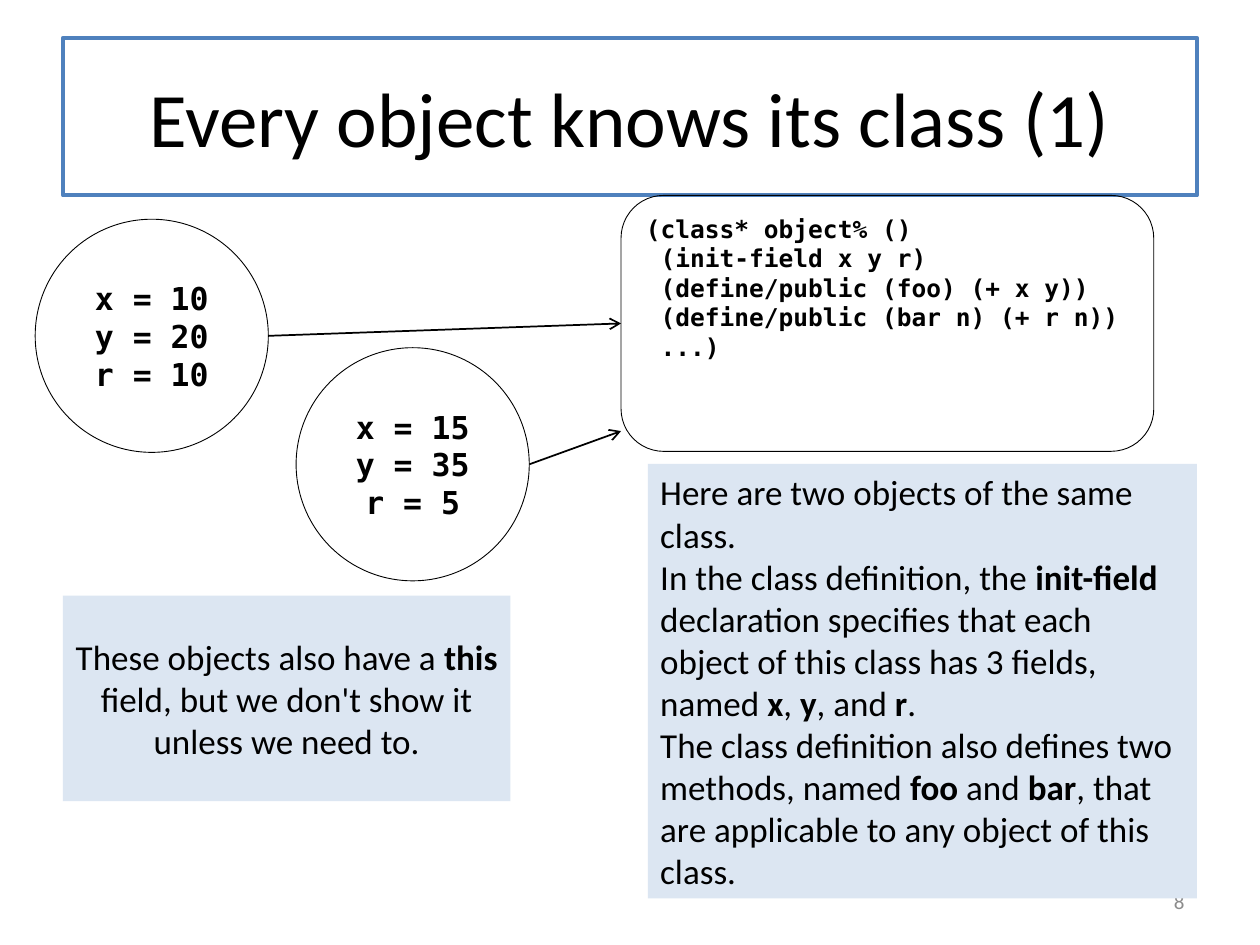
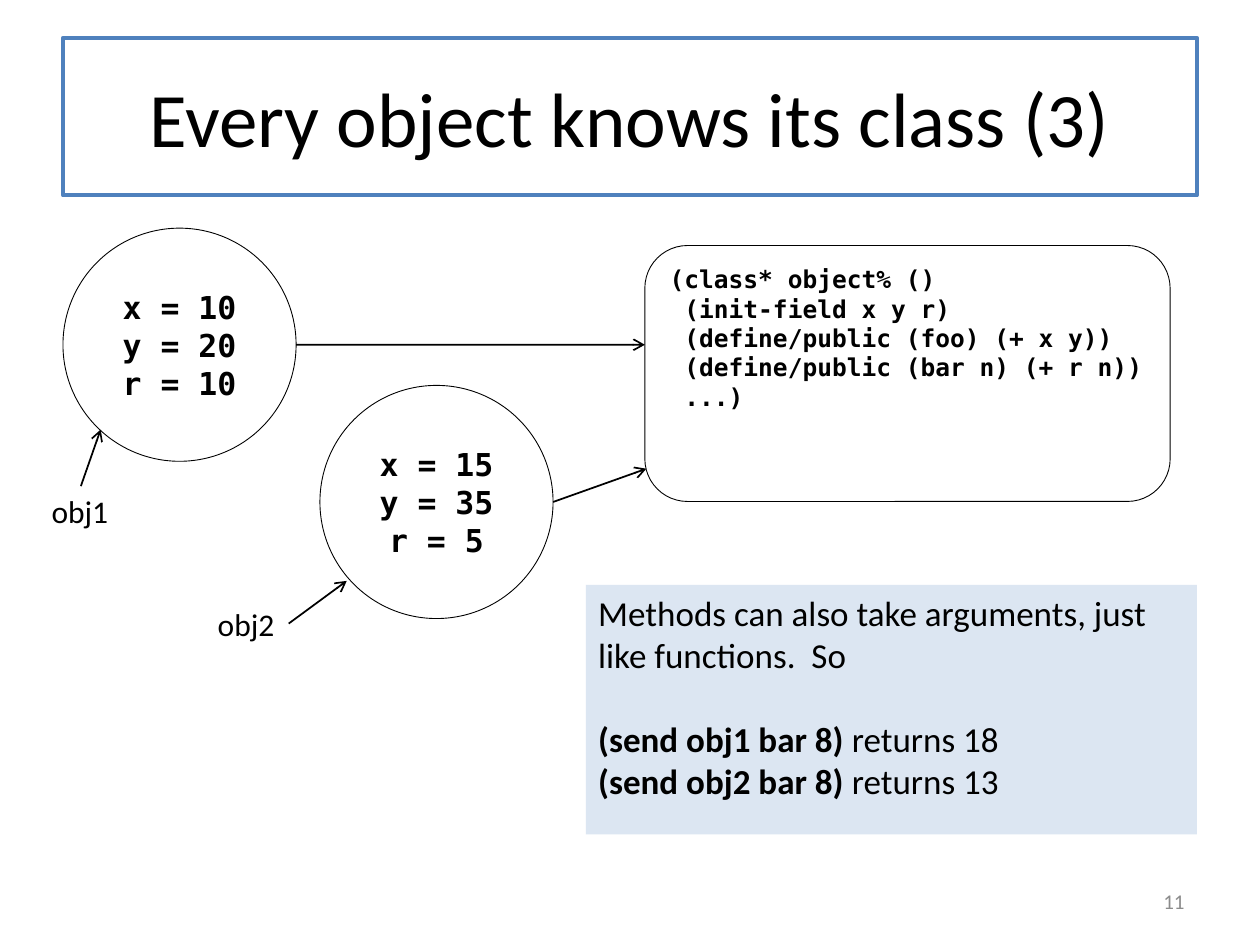
from lxml import etree
from pptx import Presentation
from pptx.dml.color import RGBColor
from pptx.enum.shapes import MSO_CONNECTOR, MSO_SHAPE
from pptx.enum.text import MSO_ANCHOR, MSO_AUTO_SIZE, PP_ALIGN
from pptx.oxml.ns import qn
from pptx.util import Cm, Pt

STRAIGHT = MSO_CONNECTOR.STRAIGHT
OVAL, RECT, ROUNDED = MSO_SHAPE.OVAL, MSO_SHAPE.RECTANGLE, MSO_SHAPE.ROUNDED_RECTANGLE
TOP, MIDDLE = MSO_ANCHOR.TOP, MSO_ANCHOR.MIDDLE
LEFT, CENTER, RIGHT = PP_ALIGN.LEFT, PP_ALIGN.CENTER, PP_ALIGN.RIGHT
NO_FIT = MSO_AUTO_SIZE.NONE
FIT_SHAPE = MSO_AUTO_SIZE.SHAPE_TO_FIT_TEXT

COLORS = {name: RGBColor.from_string(value) for name, value in {
    "text": "000000", "white": "FFFFFF", "frame": "4F81BD",
    "note": "DCE6F2", "number": "8C8C8C",
}.items()}
SANS, MONO = "Calibri", "DejaVu Sans Mono"
DIAMETER = 4.7
CLASS_HEIGHT = 5.16

OBJECTS = [["x = 10", "y = 20", "r = 10"], ["x = 15", "y = 35", "r = 5"]]
CLASS_CODE = [
    "(class* object% ()",
    " (init-field x y r)",
    " (define/public (foo) (+ x y))",
    " (define/public (bar n) (+ r n))",
    " ...)",
]

SLIDES = [
    {
        "title": "Every object knows its class (1)",
        "number": "8",
        "circles": [(0.71, 4.42), (5.97, 7.01)],
        "class_box": (12.52, 3.94, 10.74),
        "arrow_ends": [(12.52, 6.52), (12.52, 8.69)],
        "labels": [],
        "notes": [
            ((13.06, 9.35, 11.07, 8.76), LEFT, MIDDLE, [
                ["Here are two objects of the same class."],
                ["In the class definition, the ", ("init-field",),
                 " declaration specifies that each object of this class has 3 fields, named ",
                 ("x",), ", ", ("y",), ", and ", ("r",), "."],
                ["The class definition also defines two methods, named ", ("foo",), " and ",
                 ("bar",), ", that are applicable to any object of this class."],
            ], []),
            ((1.27, 12.01, 9.02, 4.14), CENTER, MIDDLE, [
                ["These objects also have a ", ("this",),
                 " field, but we don't show it unless we need to."],
            ], []),
        ],
    },
    {
        "title": "Every object knows its class (3)",
        "number": "11",
        "circles": [(1.27, 4.6), (6.45, 7.77)],
        "class_box": (13, 4.95, 10.59),
        "arrow_ends": [(13, 6.95), (13.03, 9.45)],
        "labels": [
            ("obj1", (0.79, 9.8), (1.63, 9.8), (2.03, 8.66)),
            ("obj2", (4.14, 12.07), (5.82, 12.57), (6.99, 11.71)),
        ],
        "notes": [
            ((11.81, 11.79, 12.32, 5.03), LEFT, TOP, [
                ["Methods can also take arguments, just like functions.  So"],
                [("(send obj1 bar 8) ",), "returns 18"],
                [("(send obj2 bar 8) ",), "returns 13"],
            ], [1]),
        ],
    },
]


def write(sp, paragraphs, size, font=SANS, align=LEFT, anchor=MIDDLE, color="text", gaps=()):
    tf = sp.text_frame
    tf.word_wrap = True
    tf.auto_size = NO_FIT
    tf.vertical_anchor = anchor
    for i, runs in enumerate(paragraphs):
        p = tf.add_paragraph() if i else tf.paragraphs[0]
        p.alignment = align
        if i in gaps:
            p.space_before = Pt(24)
        for run in runs:
            bold = isinstance(run, tuple)
            r = p.add_run()
            r.text = run[0] if bold else run
            r.font.name = font
            r.font.size = Pt(size)
            r.font.bold = bold
            r.font.color.rgb = COLORS[color]


def add_arrow(shapes, start, end):
    cxn = shapes.add_connector(STRAIGHT, *map(Cm, start + end))
    cxn.line.color.rgb = COLORS["text"]
    cxn.line.width = Pt(1)
    etree.SubElement(cxn.line._get_or_add_ln(), qn("a:tailEnd"), type="arrow")
    etree.SubElement(cxn._element.spPr, qn("a:effectLst"))
    return cxn


prs = Presentation()
prs.slide_width, prs.slide_height = Cm(25.4), Cm(19.05)

for data in SLIDES:
    s = prs.slides.add_slide(prs.slide_layouts[5])

    title = s.shapes.title
    title.left, title.top, title.width, title.height = map(Cm, (1.27, 0.76, 22.86, 3.18))
    title.fill.solid()
    title.fill.fore_color.rgb = COLORS["white"]
    title.line.color.rgb = COLORS["frame"]
    title.line.width = Pt(2.25)
    write(title, [[data["title"]]], 44, align=CENTER)

    number = s.shapes.add_textbox(*map(Cm, (18.21, 17.65, 5.92, 1.02)))
    write(number, [[data["number"]]], 12, align=RIGHT, color="number")

    for (x, y), fields in zip(data["circles"], OBJECTS):
        sp = s.shapes.add_shape(OVAL, *map(Cm, (x, y, DIAMETER, DIAMETER)))
        sp.shadow.inherit = False
        sp.fill.background()
        sp.line.color.rgb = COLORS["text"]
        sp.line.width = Pt(0.5)
        write(sp, [[(field,)] for field in fields], 18, MONO, CENTER)

    x, y, width = data["class_box"]
    class_box = s.shapes.add_shape(ROUNDED, *map(Cm, (x, y, width, CLASS_HEIGHT)))
    class_box.shadow.inherit = False
    class_box.fill.background()
    class_box.line.color.rgb = COLORS["text"]
    class_box.line.width = Pt(0.5)
    write(class_box, [[(line,)] for line in CLASS_CODE], 14, MONO, anchor=TOP)

    side_middle = (x, round(y + CLASS_HEIGHT / 2, 2))
    for (left, top), end in zip(data["circles"], data["arrow_ends"]):
        cxn = add_arrow(s.shapes, (left + DIAMETER, top + DIAMETER / 2), end)
        if end == side_middle:
            cxn.end_connect(class_box, 1)

    for name, corner, start, end in data["labels"]:
        group = s.shapes.add_group_shape()
        label = group.shapes.add_textbox(*map(Cm, corner + (1.68, 1.02)))
        write(label, [[name]], 18, anchor=TOP)
        label.text_frame.word_wrap = False
        label.text_frame.auto_size = FIT_SHAPE
        add_arrow(group.shapes, start, end)

    for box, align, anchor, paragraphs, gaps in data["notes"]:
        note = s.shapes.add_shape(RECT, *map(Cm, box))
        note.shadow.inherit = False
        note.fill.solid()
        note.fill.fore_color.rgb = COLORS["note"]
        note.line.fill.background()
        write(note, paragraphs, 20, align=align, anchor=anchor, gaps=gaps)

prs.save("out.pptx")
